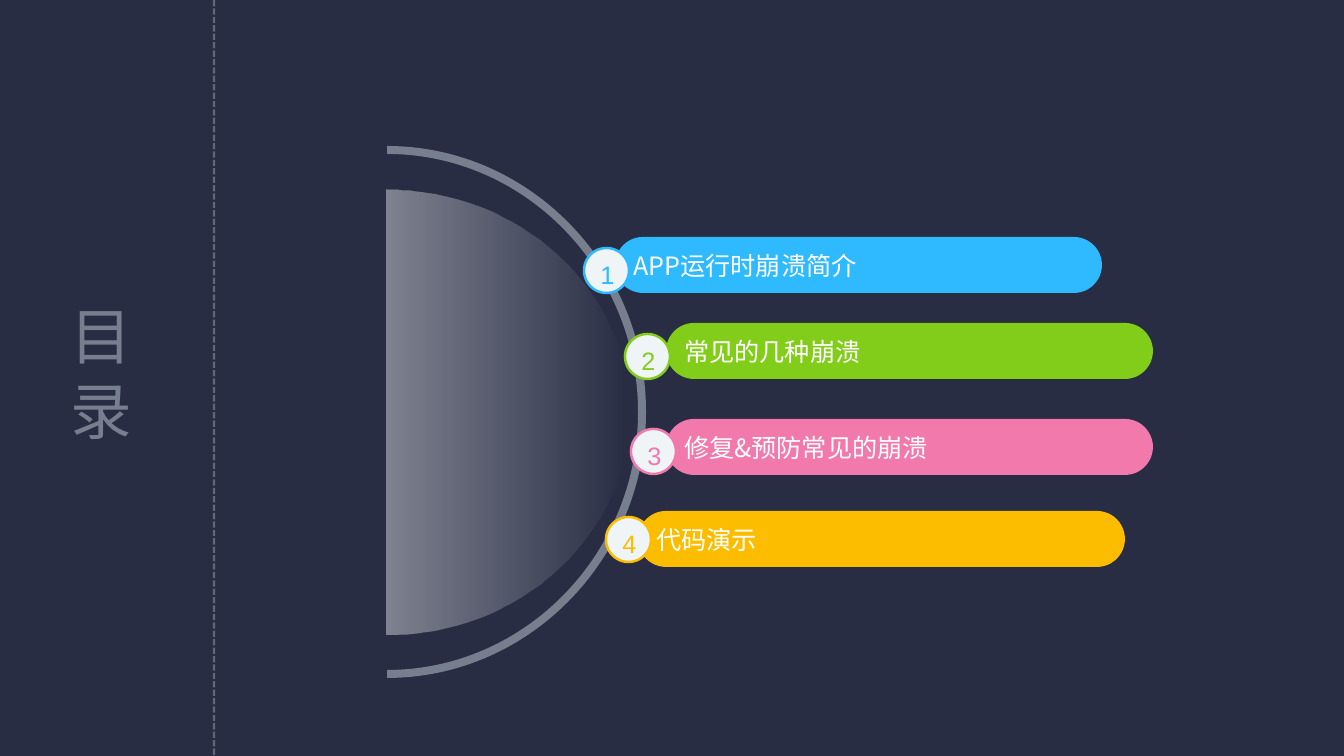
from lxml.etree import SubElement
from pptx import Presentation
from pptx.dml.color import RGBColor
from pptx.enum.dml import MSO_LINE
from pptx.enum.shapes import MSO_CONNECTOR, MSO_SHAPE
from pptx.enum.text import MSO_ANCHOR, MSO_AUTO_SIZE, PP_ALIGN
from pptx.oxml.ns import qn
from pptx.util import Pt

PX = 9075
COLORS = {
    "background": "282D44", "gray": "777E8D", "white": "FFFFFF", "badge": "EFF4F7",
    "blue": "2FBAFF", "green": "82CD1A", "pink": "F179AC", "yellow": "FCBD00",
}
COLORS = {name: RGBColor.from_string(value) for name, value in COLORS.items()}
CJK_FONT = "Noto Sans CJK SC"
CENTER_X, CENTER_Y = 387, 412
CURVE = 0.55


def half_ellipse(radius_x, radius_y):
    steps = [(0, -1), (CURVE, -1), (1, -CURVE), (1, 0), (1, CURVE), (CURVE, 1), (0, 1)]
    return [((CENTER_X + radius_x * x) * PX, (CENTER_Y + radius_y * y) * PX) for x, y in steps]


def add_text(paragraph, text, size, font, color):
    run = paragraph.add_run()
    run.text = text
    run.font.size = Pt(size)
    run.font.name = font
    run.font.color.rgb = COLORS[color]
    SubElement(run.font._element, qn("a:ea")).set("typeface", font)


presentation = Presentation()
presentation.slide_width = 1344 * PX
presentation.slide_height = 756 * PX
slide = presentation.slides.add_slide(presentation.slide_layouts[5])
slide.background.fill.solid()
slide.background.fill.fore_color.rgb = COLORS["background"]
shapes = slide.shapes

title = shapes.title
title.left, title.top, title.width, title.height = -5 * PX, 293 * PX, 213 * PX, 158 * PX
title_frame = title.text_frame
title_frame.auto_size = MSO_AUTO_SIZE.NONE
title_frame.vertical_anchor = MSO_ANCHOR.TOP
title_frame.margin_top = 5 * PX
title_frame.add_paragraph()
for paragraph, character in zip(title_frame.paragraphs, "目录"):
    paragraph.alignment = PP_ALIGN.CENTER
    paragraph.line_spacing = Pt(53)
    add_text(paragraph, character, 44, CJK_FONT, "gray")

ring_points = half_ellipse(259, 266) + half_ellipse(251, 258)[::-1]
ring_builder = shapes.build_freeform(*ring_points[0])
ring_builder.add_line_segments(ring_points[1:], close=True)
ring = ring_builder.convert_to_shape()
ring.fill.solid()
ring.fill.fore_color.rgb = COLORS["gray"]

agenda = [
    ("APP运行时崩溃简介", "blue", 615, 237, 584, 248),
    ("常见的几种崩溃", "green", 666, 323, 625, 334),
    ("修复&预防常见的崩溃", "pink", 666, 419, 631, 429),
    ("代码演示", "yellow", 638, 511, 606, 517),
]
for text, color, left, top, _, _ in reversed(agenda):
    bar = shapes.add_shape(MSO_SHAPE.ROUNDED_RECTANGLE, left * PX, top * PX, 487 * PX, 56 * PX)
    bar.adjustments[0] = 0.5
    bar.shadow.inherit = False
    bar.fill.solid()
    bar.fill.fore_color.rgb = COLORS[color]
    bar.line.fill.background()
    bar.text_frame.vertical_anchor = MSO_ANCHOR.MIDDLE
    paragraph = bar.text_frame.paragraphs[0]
    paragraph.alignment = PP_ALIGN.LEFT
    add_text(paragraph, text, 18, CJK_FONT, "white")

for number, (_, color, _, _, left, top) in enumerate(agenda, 1):
    badge = shapes.add_shape(MSO_SHAPE.OVAL, left * PX, top * PX, 45 * PX, 45 * PX)
    badge.shadow.inherit = False
    badge.fill.solid()
    badge.fill.fore_color.rgb = COLORS["badge"]
    badge.line.color.rgb = COLORS[color]
    badge.line.width = Pt(1.75)
    badge.text_frame.vertical_anchor = MSO_ANCHOR.TOP
    paragraph = badge.text_frame.paragraphs[0]
    paragraph.alignment = PP_ALIGN.CENTER
    add_text(paragraph, str(number), 18, "Arial", color)

divider = shapes.add_connector(MSO_CONNECTOR.STRAIGHT, 214 * PX, 0, 214 * PX, 756 * PX)
divider.line.color.rgb = COLORS["white"]
divider.line.width = Pt(1.5)
divider.line.dash_style = MSO_LINE.SQUARE_DOT
divider_color = next(divider._element.spPr.iter(qn("a:srgbClr")))
SubElement(divider_color, qn("a:alpha")).set("val", "27000")
SubElement(divider._element.spPr, qn("a:effectLst"))

dome_points = half_ellipse(242, 222)
dome_builder = shapes.build_freeform(*dome_points[0])
dome_builder.add_line_segments(dome_points[1:], close=True)
dome = dome_builder.convert_to_shape()
dome.fill.gradient()
dome.fill.gradient_angle = 0
for stop in dome.fill.gradient_stops:
    stop.color.rgb = COLORS["white"]
for stop_color, alpha in zip(list(dome._element.spPr.iter(qn("a:srgbClr"))), ("41000", "0")):
    SubElement(stop_color, qn("a:alpha")).set("val", alpha)

for outline, curve_starts in ((ring, (0, 3, 7, 10)), (dome, (0, 3))):
    outline.shadow.inherit = False
    outline.line.fill.background()
    segments = list(outline._element.spPr.iter(qn("a:lnTo")))
    for start in curve_starts:
        curve = segments[start]
        curve.tag = qn("a:cubicBezTo")
        for segment in segments[start + 1:start + 3]:
            curve.append(segment[0])
            segment.getparent().remove(segment)

presentation.save("out.pptx")
